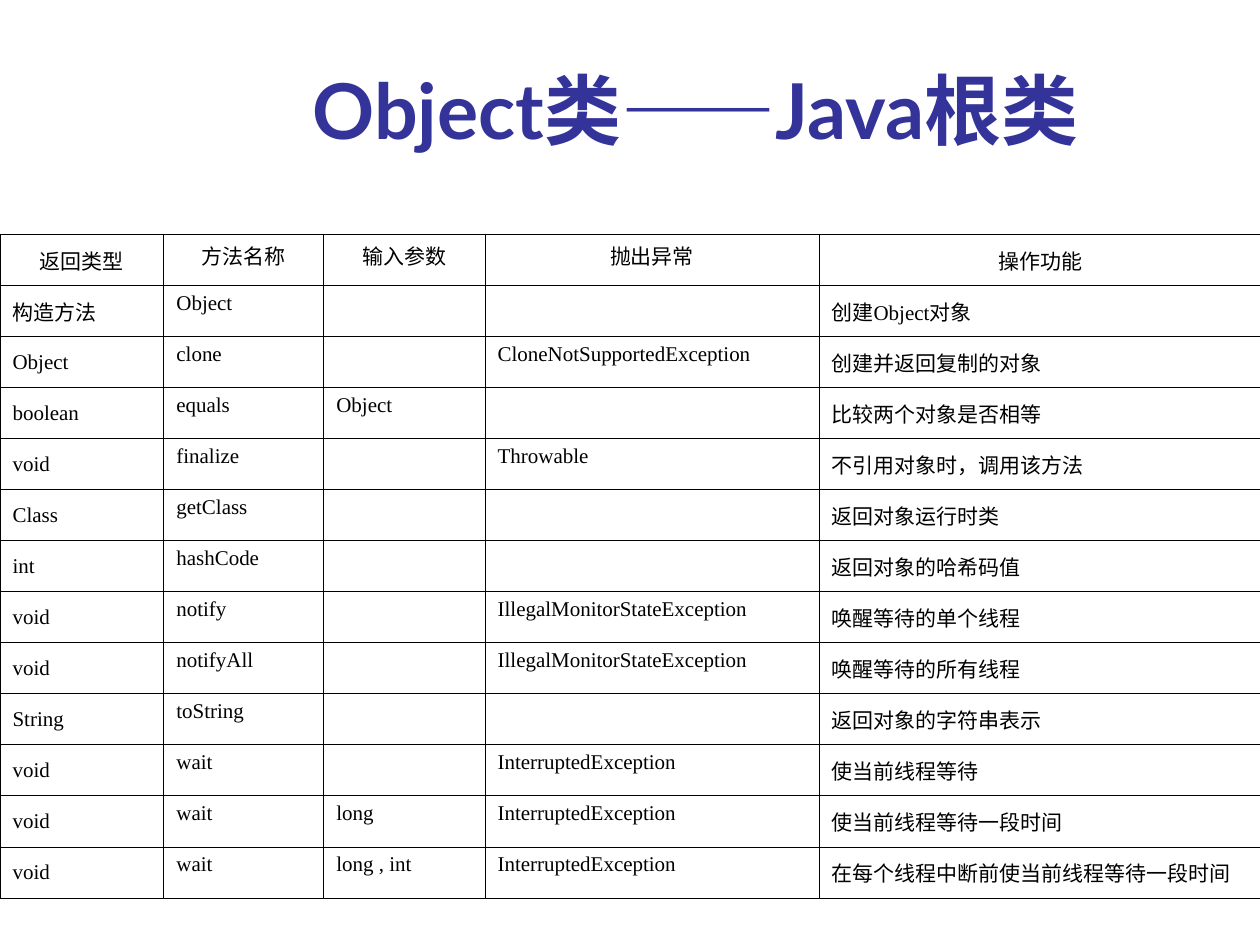
from dataclasses import dataclass

from lxml.etree import SubElement
from pptx import Presentation
from pptx.dml.color import RGBColor
from pptx.enum.text import MSO_ANCHOR as Anchor, MSO_AUTO_SIZE as AutoSize, PP_ALIGN as Align
from pptx.oxml.ns import qn
from pptx.util import Inches, Pt


@dataclass(frozen=True)
class Theme:
    title_color: RGBColor = RGBColor(0x33, 0x33, 0x99)
    text_color: RGBColor = RGBColor(0, 0, 0)
    border_color: str = "000000"
    title_size: Pt = Pt(44)
    text_size: Pt = Pt(12)
    border_width: Pt = Pt(0.45)
    title_font: str = "Lato"
    dash_font: str = "Arial"
    text_font: str = "Times New Roman"


THEME = Theme()
TITLE_BOX = [Inches(n) for n in (1.26, 0.36, 8.52, 0.92)]
TABLE_BOX = [Inches(n) for n in (0, 1.86, 10, 5.27)]
COLUMN_WIDTHS = (1.3, 1.27, 1.28, 2.65, 3.51)
MIDDLE_COLUMNS = (0, 4)
HANGING_INDENT = Inches(0.38)

TITLE_SPANS = [
    ("Object类", THEME.title_font),
    ("——", THEME.dash_font),
    ("Java根类", THEME.title_font),
]

METHODS = [
    ("返回类型", "方法名称", "输入参数", "抛出异常", "操作功能"),
    ("构造方法", "Object", "", "", "创建Object对象"),
    ("Object", "clone", "", "CloneNotSupportedException", "创建并返回复制的对象"),
    ("boolean", "equals", "Object", "", "比较两个对象是否相等"),
    ("void", "finalize", "", "Throwable", "不引用对象时，调用该方法"),
    ("Class", "getClass", "", "", "返回对象运行时类"),
    ("int", "hashCode", "", "", "返回对象的哈希码值"),
    ("void", "notify", "", "IllegalMonitorStateException", "唤醒等待的单个线程"),
    ("void", "notifyAll", "", "IllegalMonitorStateException", "唤醒等待的所有线程"),
    ("String", "toString", "", "", "返回对象的字符串表示"),
    ("void", "wait", "", "InterruptedException", "使当前线程等待"),
    ("void", "wait", "long", "InterruptedException", "使当前线程等待一段时间"),
    ("void", "wait", "long , int", "InterruptedException", "在每个线程中断前使当前线程等待一段时间"),
]


def apply_format(target, values):
    for name, value in values.items():
        setattr(target, name, value)


def add_span(para, text, color, **font_values):
    span = para.add_run()
    span.text = text
    apply_format(span.font, font_values)
    span.font.color.rgb = color


def place_title(page, box):
    title = page.shapes.title
    apply_format(title, dict(zip(("left", "top", "width", "height"), box)))
    apply_format(title.text_frame, {
        "auto_size": AutoSize.NONE,
        "word_wrap": True,
        "vertical_anchor": Anchor.BOTTOM,
    })
    para = title.text_frame.paragraphs[0]
    para.alignment = Align.CENTER
    for text, font in TITLE_SPANS:
        add_span(para, text, THEME.title_color, name=font, size=THEME.title_size, bold=True)


def outline_cell(cell):
    properties = cell._tc.get_or_add_tcPr()
    for side in ("a:lnL", "a:lnR", "a:lnT", "a:lnB"):
        line = SubElement(properties, qn(side), w=str(THEME.border_width))
        fill = SubElement(line, qn("a:solidFill"))
        SubElement(fill, qn("a:srgbClr"), val=THEME.border_color)
    cell.fill.background()


def fill_cell(cell, text, alignment, anchor):
    outline_cell(cell)
    apply_format(cell, {
        "vertical_anchor": anchor,
        "margin_left": Inches(0.1),
        "margin_right": Inches(0.1),
        "margin_top": Inches(0.05),
        "margin_bottom": Inches(0.05),
    })
    para = cell.text_frame.paragraphs[0]
    if not text:
        SubElement(para._p, qn("a:endParaRPr"), sz=str(int(THEME.text_size.pt * 100)))
        return
    para.alignment = alignment
    indent = para._p.get_or_add_pPr()
    indent.set("marL", str(HANGING_INDENT))
    indent.set("indent", str(-HANGING_INDENT))
    add_span(para, text, THEME.text_color, name=THEME.text_font, size=THEME.text_size)


def place_methods(page, box):
    table = page.shapes.add_table(len(METHODS), len(COLUMN_WIDTHS), *box).table
    apply_format(table, {"first_row": False, "horz_banding": False})
    for column, width in zip(table.columns, COLUMN_WIDTHS):
        column.width = Inches(width)
    for row_index, entries in enumerate(METHODS):
        alignment = Align.LEFT if row_index else Align.CENTER
        for column_index, text in enumerate(entries):
            anchor = Anchor.MIDDLE if column_index in MIDDLE_COLUMNS else Anchor.TOP
            fill_cell(table.cell(row_index, column_index), text, alignment, anchor)


def main():
    deck = Presentation()
    apply_format(deck, {"slide_width": Inches(10), "slide_height": Inches(7.5)})
    page = deck.slides.add_slide(deck.slide_layouts.get_by_name("Title Only"))
    place_title(page, TITLE_BOX)
    place_methods(page, TABLE_BOX)
    deck.save("out.pptx")


if __name__ == "__main__":
    main()
